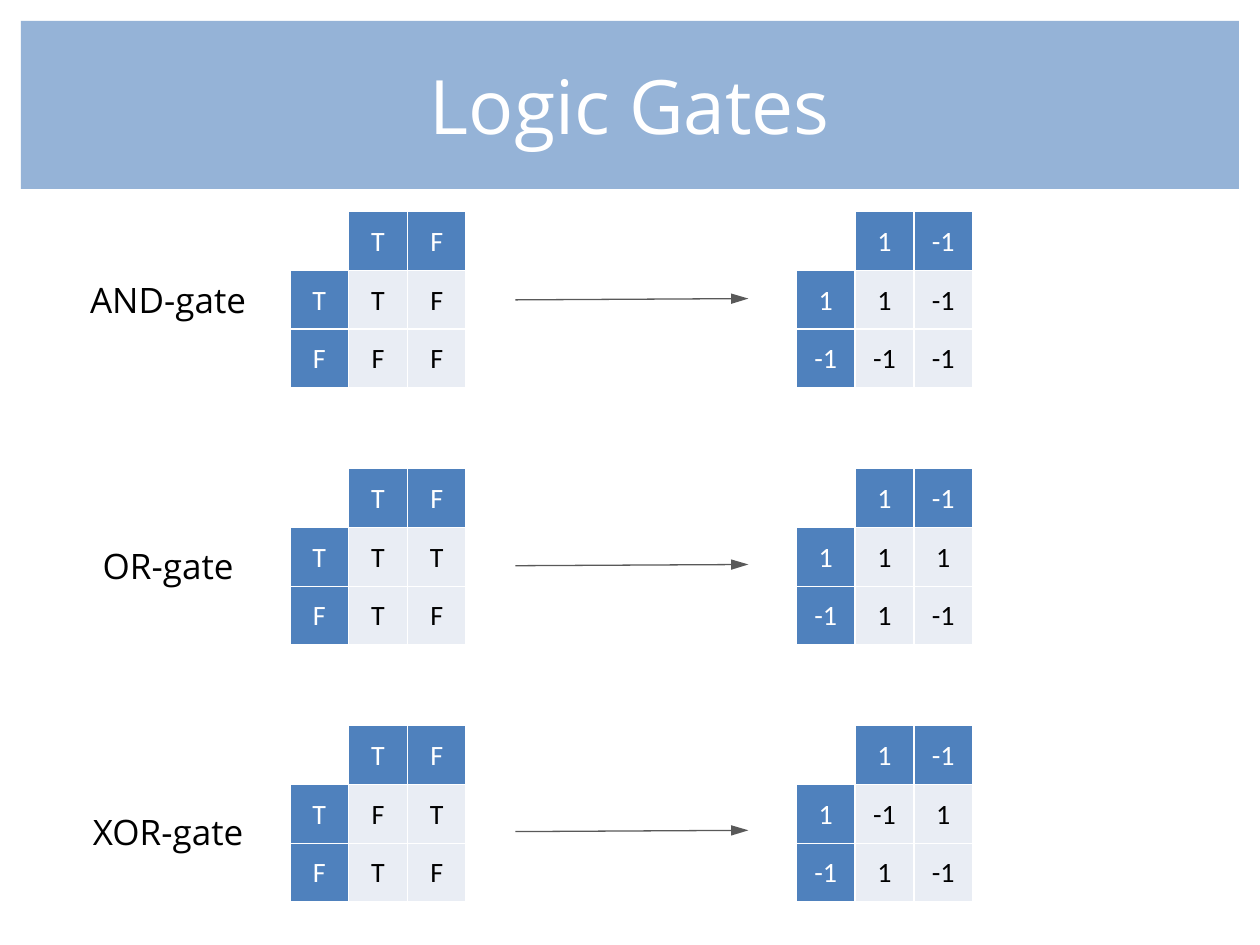
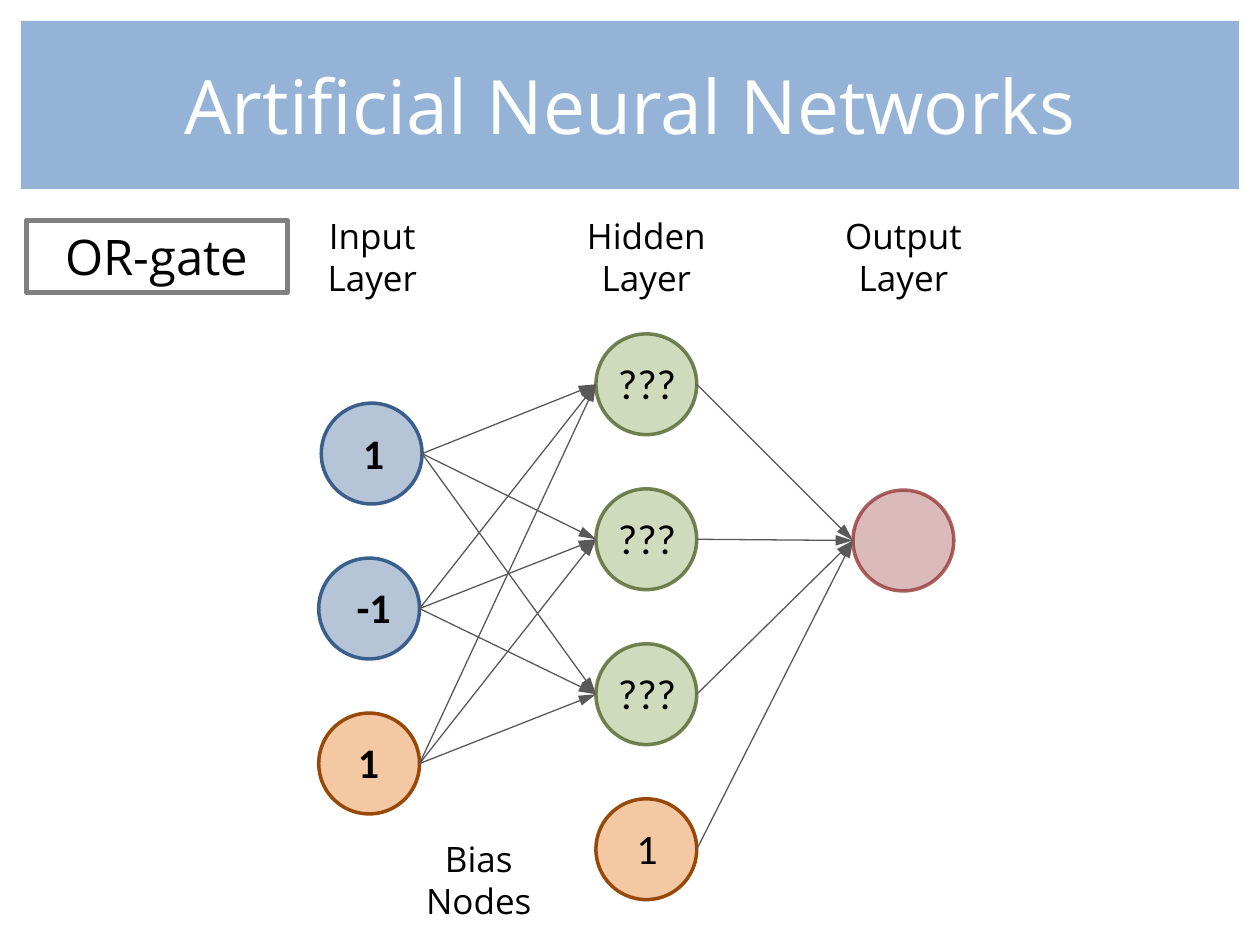
from dataclasses import dataclass
from itertools import product

from lxml.etree import SubElement
from pptx import Presentation
from pptx.dml.color import RGBColor
from pptx.enum.shapes import MSO_CONNECTOR as Connector, MSO_SHAPE as Preset
from pptx.enum.text import MSO_ANCHOR as Anchor, MSO_AUTO_SIZE as AutoSize, PP_ALIGN as Align
from pptx.oxml.ns import qn
from pptx.util import Inches, Pt


@dataclass(frozen=True)
class Theme:
    band: str = "95B3D7"
    white: str = "FFFFFF"
    ink: str = "000000"
    header: str = "4F81BD"
    body: str = "E9EDF4"
    arrow: str = "595959"
    frame: str = "808080"
    heading_font: str = "Open Sans"
    value_font: str = "Calibri"
    title_size: float = 42.9
    badge_size: int = 28
    node_size: int = 24
    label_size: int = 20
    cell_size: int = 16


THEME = Theme()
SLIDE_WIDTH, SLIDE_HEIGHT = 10, 7.5
MARGIN = SLIDE_WIDTH / 60
BAND = (MARGIN, MARGIN, SLIDE_WIDTH - 2 * MARGIN, 8 * MARGIN)

GATES = [
    ("AND-gate", "TF FF"),
    ("OR-gate", "TT TF"),
    ("XOR-gate", "FT TF"),
]
NUMBERS = {"T": "1", "F": "-1"}
LETTERS = {"T": "T", "F": "F"}
TABLES = [(2.3, LETTERS), (6.32, NUMBERS)]
TABLE_TOP, TABLE_PITCH, TABLE_SIDE = 1.68, 2.04, 1.4
GATE_LABEL = (0.5, 2.16, 1.67, 0.44)
GATE_PITCH = 2.11
ARROW_START, ARROW_END = 4.09, 5.94

NODE_SIDE, NODE_PITCH = 0.8, 1.23
NODE_STYLES = {
    "input": dict(fill="376092", fill_alpha=37, line="3A5F8C", line_alpha=100),
    "hidden": dict(fill="77933C", fill_alpha=34, line="4F6228", line_alpha=78),
    "output": dict(fill="953735", fill_alpha=34, line="953735", line_alpha=78),
    "bias": dict(fill="E46C0A", fill_alpha=37, line="984807", line_alpha=100),
}
LAYERS = [
    dict(top=3.2, bold=True, label_width=0.61,
         nodes=[("input", 2.55, "1", 2.66), ("input", 2.53, "-1", 2.66), ("bias", 2.53, "1", 2.62)]),
    dict(top=2.65, bold=False, label_width=0.75,
         nodes=[("hidden", 4.73, "???", 4.76)] * 3 + [("bias", 4.73, "1", 4.76)]),
    dict(top=3.89, bold=False, label_width=0.75,
         nodes=[("output", 6.77, "", 6.8)]),
]
NODE_LABEL_DROP, NODE_LABEL_HEIGHT = 0.14, 0.5
CAPTIONS = [
    ("Input Layer", 2.44, 1.65, 1.03),
    ("Hidden Layer", 4.52, 1.65, 1.22),
    ("Output Layer", 6.56, 1.65, 1.22),
    ("Bias Nodes", 3.17, 6.6, 1.26),
]
CAPTION_HEIGHT = 0.77
BADGE = (0.21, 1.75, 2.07, 0.57)


def inches(*lengths):
    return [Inches(length) for length in lengths]


def color(code):
    return RGBColor.from_string(code)


def write(frame, text, size, font=THEME.heading_font, ink=THEME.ink, bold=False):
    frame.text = text
    para = frame.paragraphs[0]
    para.alignment = Align.CENTER
    for span in para.runs:
        span.font.size = Pt(size)
        span.font.name = font
        span.font.bold = bold
        span.font.color.rgb = color(ink)


def add_label(page, text, place, size=THEME.label_size, font=THEME.heading_font, bold=False):
    box = page.shapes.add_textbox(*inches(*place))
    box.text_frame.word_wrap = True
    write(box.text_frame, text, size, font, bold=bold)
    return box


def add_page(deck, title):
    page = deck.slides.add_slide(deck.slide_layouts[5])
    band = page.shapes.title
    band.left, band.top, band.width, band.height = inches(*BAND)
    band.fill.solid()
    band.fill.fore_color.rgb = color(THEME.band)
    band.text_frame.auto_size = AutoSize.NONE
    band.text_frame.vertical_anchor = Anchor.MIDDLE
    write(band.text_frame, title, THEME.title_size, ink=THEME.white)
    return page


def add_arrow(page, start, end):
    arrow = page.shapes.add_connector(Connector.STRAIGHT, *inches(*start, *end))
    arrow.line.color.rgb = color(THEME.arrow)
    arrow.line.width = Pt(0.75)
    properties = arrow.element.spPr
    SubElement(properties.find(qn("a:ln")), qn("a:tailEnd"), type="triangle", w="med", len="lg")
    SubElement(properties, qn("a:effectLst"))


def set_borders(cell):
    properties = cell._tc.get_or_add_tcPr()
    for index, side in enumerate(("lnL", "lnR", "lnT", "lnB")):
        border = properties.makeelement(qn(f"a:{side}"), {"w": str(Pt(1))})
        fill = SubElement(border, qn("a:solidFill"))
        SubElement(fill, qn("a:srgbClr"), val=THEME.white)
        properties.insert(index, border)


def add_truth_table(page, left, top, outcomes, symbols):
    rows = [" TF"] + [head + row for head, row in zip("TF", outcomes.split())]
    place = inches(left, top, TABLE_SIDE, TABLE_SIDE)
    table = page.shapes.add_table(3, 3, *place).table
    table.first_row = table.horz_banding = False
    for row, column in product(range(3), repeat=2):
        cell = table.cell(row, column)
        cell.margin_left = cell.margin_right = cell.margin_top = Inches(0.01)
        cell.margin_bottom = 0
        cell.vertical_anchor = Anchor.MIDDLE
        set_borders(cell)
        if row == column == 0:
            cell.fill.background()
            continue
        is_header = row == 0 or column == 0
        cell.fill.solid()
        cell.fill.fore_color.rgb = color(THEME.header if is_header else THEME.body)
        write(cell.text_frame, symbols[rows[row][column]], THEME.cell_size,
              THEME.value_font, THEME.white if is_header else THEME.ink)


def set_alpha(parent, percent):
    tint = parent.find(qn("a:solidFill")).find(qn("a:srgbClr"))
    SubElement(tint, qn("a:alpha"), val=str(percent * 1000))


def add_node(page, left, top, fill, fill_alpha, line, line_alpha):
    node = page.shapes.add_shape(Preset.OVAL, *inches(left, top, NODE_SIDE, NODE_SIDE))
    node.shadow.inherit = False
    node.fill.solid()
    node.fill.fore_color.rgb = color(fill)
    node.line.color.rgb = color(line)
    node.line.width = Pt(2)
    properties = node.element.spPr
    set_alpha(properties, fill_alpha)
    set_alpha(properties.find(qn("a:ln")), line_alpha)


def build_gates(deck):
    page = add_page(deck, "Logic Gates")
    left, first_top, width, height = GATE_LABEL
    for index, (name, outcomes) in enumerate(GATES):
        top = first_top + index * GATE_PITCH
        middle = top + height / 2
        add_label(page, name, (left, top, width, height))
        add_arrow(page, (ARROW_START, middle), (ARROW_END, middle - 0.01))
        for table_left, symbols in TABLES:
            add_truth_table(page, table_left, TABLE_TOP + index * TABLE_PITCH, outcomes, symbols)


def build_network(deck):
    page = add_page(deck, "Artificial Neural Networks")
    spots = [
        [(kind, left, layer["top"] + index * NODE_PITCH)
         for index, (kind, left, _, _) in enumerate(layer["nodes"])]
        for layer in LAYERS
    ]
    for nodes in spots:
        for kind, left, top in nodes:
            add_node(page, left, top, **NODE_STYLES[kind])
    half = NODE_SIDE / 2
    for sources, targets in zip(spots, spots[1:]):
        for (_, left, top), (kind, end_left, end_top) in product(sources, targets):
            if kind != "bias":
                add_arrow(page, (left + NODE_SIDE, top + half), (end_left, end_top + half))
    for layer in LAYERS:
        for index, (_, _, text, left) in enumerate(layer["nodes"]):
            if text:
                top = layer["top"] + index * NODE_PITCH + NODE_LABEL_DROP
                add_label(page, text, (left, top, layer["label_width"], NODE_LABEL_HEIGHT),
                          THEME.node_size, THEME.value_font, layer["bold"])
    for text, left, top, width in CAPTIONS:
        add_label(page, text, (left, top, width, CAPTION_HEIGHT))
    badge = add_label(page, "OR-gate", BADGE, THEME.badge_size)
    badge.line.color.rgb = color(THEME.frame)
    badge.line.width = Pt(3)


def main():
    deck = Presentation()
    deck.slide_width, deck.slide_height = inches(SLIDE_WIDTH, SLIDE_HEIGHT)
    build_gates(deck)
    build_network(deck)
    deck.save("out.pptx")


if __name__ == "__main__":
    main()
